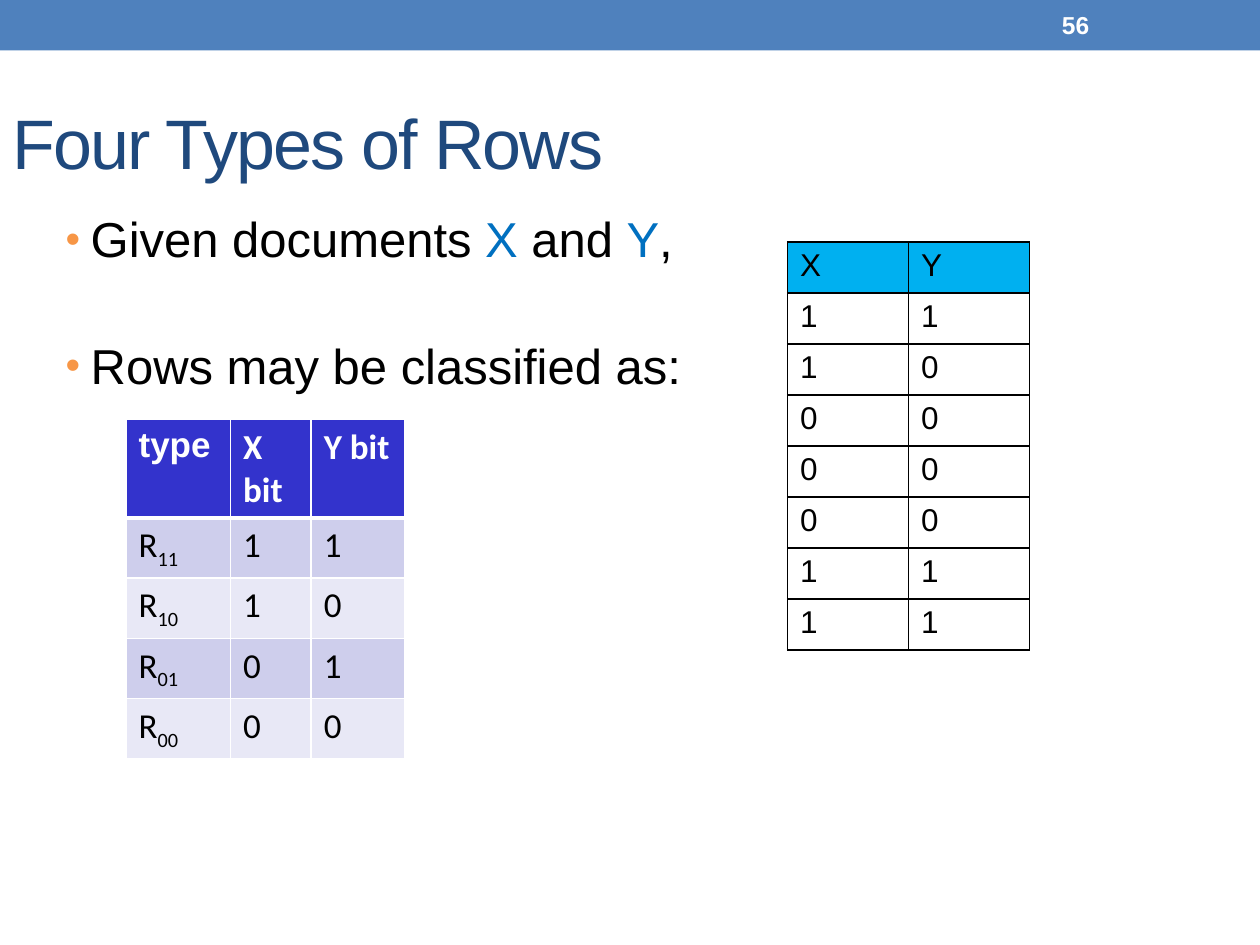
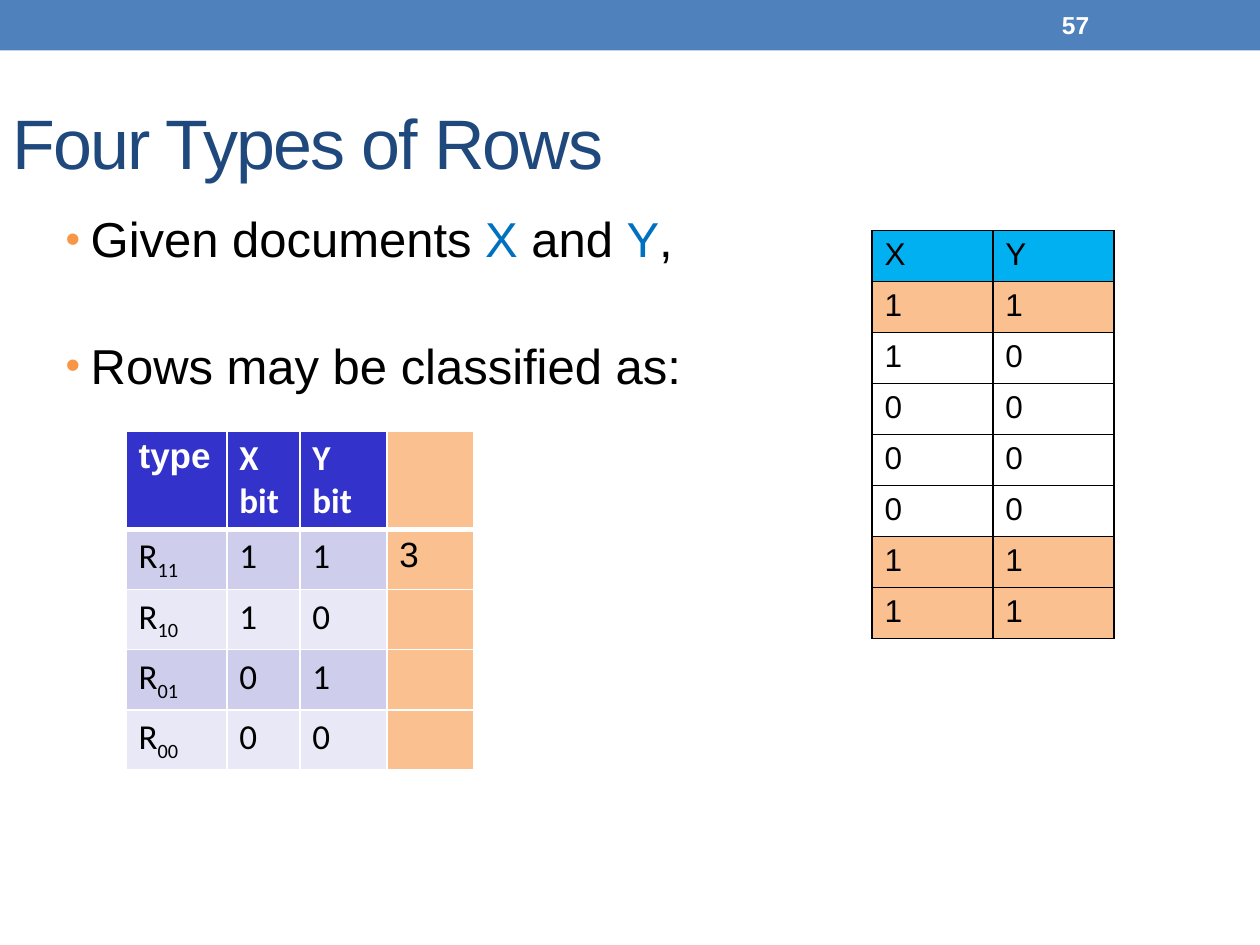
from dataclasses import dataclass

import pptx
import pptx.dml.color
import pptx.enum.shapes
import pptx.enum.text
import pptx.oxml
import pptx.oxml.ns
import pptx.util
from pptx.util import Inches


@dataclass(frozen=True)
class Theme:
    band: str = "4F81BD"
    title: str = "1F497D"
    bullet: str = "F79646"
    text: str = "000000"
    white: str = "FFFFFF"
    document: str = "0070C0"
    type_header: str = "3333CC"
    type_rows: tuple = ("CECEEC", "E8E8F6")
    document_header: str = "00B0F0"
    highlight: str = "FAC090"
    font: str = "Arial"
    table_font: str = "Calibri"
    title_size: int = 40
    body_size: int = 28
    type_size: int = 20
    document_size: int = 18
    number_size: int = 14


THEME = Theme()
ROW_HEIGHT = 3.24 / 8
DOCUMENT_ROWS = ["11", "10", "00", "00", "00", "11", "11"]
ROW_TYPES = ["11", "10", "01", "00"]


def text_format(size, color=THEME.text, name=THEME.font, bold=False):
    return {"size": pptx.util.Pt(size), "color": color, "name": name, "bold": bold}


def add_span(para, text, values, **run_attributes):
    """Add a run; run_attributes go straight to its XML properties (spc, baseline)."""
    span = para.add_run()
    span.text = text
    for key, value in values.items():
        if key == "color":
            span.font.color.rgb = pptx.dml.color.RGBColor.from_string(value)
        else:
            setattr(span.font, key, value)
    for key, value in run_attributes.items():
        span._r.get_or_add_rPr().set(key, str(value))


def paint(item, color):
    """Fill a shape or cell, or leave it clear when color is None."""
    if color is None:
        item.fill.background()
    else:
        item.fill.solid()
        item.fill.fore_color.rgb = pptx.dml.color.RGBColor.from_string(color)


def place(box, left, top, width, height):
    for side, value in zip(("left", "top", "width", "height"), (left, top, width, height)):
        setattr(box, side, Inches(value))


def set_frame(frame, anchor):
    values = {
        "word_wrap": True,
        "auto_size": pptx.enum.text.MSO_AUTO_SIZE.NONE,
        "vertical_anchor": anchor,
    }
    for key, value in values.items():
        setattr(frame, key, value)


def add_band(slide):
    band = slide.shapes.add_shape(
        pptx.enum.shapes.MSO_SHAPE.RECTANGLE, 0, 0, Inches(10), Inches(0.4))
    band.shadow.inherit = False
    paint(band, THEME.band)
    band.line.fill.background()


def add_page_number(slide, number):
    box = slide.shapes.add_textbox(Inches(8.33), Inches(0.02), Inches(1.17), Inches(0.36))
    set_frame(box.text_frame, pptx.enum.text.MSO_ANCHOR.MIDDLE)
    add_span(box.text_frame.paragraphs[0], str(number),
             text_format(THEME.number_size, THEME.white, bold=True))


def set_title(slide, text):
    title = slide.shapes.title
    place(title, 0, 0.5, 10, 1.25)
    set_frame(title.text_frame, pptx.enum.text.MSO_ANCHOR.MIDDLE)
    para = title.text_frame.paragraphs[0]
    para.alignment = pptx.enum.text.PP_ALIGN.LEFT
    add_span(para, text, text_format(THEME.title_size, THEME.title), spc=-100)


def add_bullet(para):
    properties = para._p.get_or_add_pPr()
    indent = Inches(0.2)
    properties.set("marL", str(indent))
    properties.set("indent", str(-indent))
    namespace = pptx.oxml.ns.nsdecls("a")
    for xml in (
        f'<a:buClr {namespace}><a:srgbClr val="{THEME.bullet}"/></a:buClr>',
        f'<a:buSzPct {namespace} val="85000"/>',
        f'<a:buFont {namespace} typeface="{THEME.font}"/>',
        f'<a:buChar {namespace} char="•"/>',
    ):
        properties.append(pptx.oxml.parse_xml(xml))


def set_body(slide, bullets):
    """Fill the body with bullets, each a list of (text, color) spans."""
    body = slide.placeholders[1]
    place(body, 0.42, 1.66, 8.83, 5.17)
    frame = body.text_frame
    set_frame(frame, pptx.enum.text.MSO_ANCHOR.TOP)
    for index, spans in enumerate(bullets):
        para = frame.add_paragraph() if index else frame.paragraphs[0]
        add_bullet(para)
        para.line_spacing = 0.9
        para.space_before = pptx.util.Pt(42 if index else 0)
        for text, color in spans:
            add_span(para, text, text_format(THEME.body_size, color))


def set_borders(cell, color, top=1, bottom=1):
    properties = cell._tc.get_or_add_tcPr()
    for side, width in {"L": 1, "R": 1, "T": top, "B": bottom}.items():
        properties.append(pptx.oxml.parse_xml(
            f'<a:ln{side} {pptx.oxml.ns.nsdecls("a")} w="{pptx.util.Pt(width)}">'
            f'<a:solidFill><a:srgbClr val="{color}"/></a:solidFill></a:ln{side}>'))


def add_grid(slide, left, top, widths, row_count):
    frame = slide.shapes.add_table(
        row_count, len(widths), Inches(left), Inches(top),
        Inches(sum(widths)), Inches(ROW_HEIGHT * row_count))
    table = frame.table
    table.first_row = table.horz_banding = False
    for column, width in zip(table.columns, widths):
        column.width = Inches(width)
    return table


def add_document_table(slide, left, top, highlighted=None):
    """Show the bits of X and Y, with rows of the highlighted type tinted."""
    rows = ["XY"] + DOCUMENT_ROWS
    table = add_grid(slide, left, top, [0.96, 0.96], len(rows))
    for row, bits in enumerate(rows):
        fill = THEME.highlight if bits == highlighted else None
        for column, bit in enumerate(bits):
            cell = table.cell(row, column)
            set_borders(cell, THEME.text)
            paint(cell, fill if row else THEME.document_header)
            add_span(cell.text_frame.paragraphs[0], bit, text_format(THEME.document_size))


def add_type_table(slide, top, widths, counted=None):
    """List the row types; a fourth column holds the count of the counted type."""
    rows = [["type", "X bit", "Y bit", ""]]
    for bits in ROW_TYPES:
        count = str(DOCUMENT_ROWS.count(bits)) if bits == counted else ""
        rows.append(["R", *bits, count])
    table = add_grid(slide, 1, top, widths, len(rows))
    for row, texts in enumerate(rows):
        header = row == 0
        row_fill = THEME.type_header if header else THEME.type_rows[(row - 1) % 2]
        for column, text in enumerate(texts[:len(widths)]):
            cell = table.cell(row, column)
            set_borders(cell, THEME.white, 3 if row == 1 else 1, 3 if header else 1)
            paint(cell, THEME.highlight if column == 3 else row_fill)
            if not text:
                continue
            plain = text == "type" or column == 3
            values = text_format(
                THEME.type_size, THEME.white if header else THEME.text,
                THEME.font if plain else THEME.table_font, header)
            para = cell.text_frame.paragraphs[0]
            add_span(para, text, values)
            if column == 0 and not header:
                add_span(para, ROW_TYPES[row - 1], values, baseline=-25000)


def add_rows_slide(deck, number):
    slide = deck.slides.add_slide(deck.slide_layouts[1])
    add_band(slide)
    add_page_number(slide, number)
    set_title(slide, "Four Types of Rows")
    set_body(slide, [
        [("Given documents ", THEME.text), ("X", THEME.document), (" and ", THEME.text),
         ("Y", THEME.document), (",", THEME.text)],
        [("Rows may be classified as:", THEME.text)],
    ])
    return slide


def main():
    deck = pptx.Presentation()
    deck.slide_width, deck.slide_height = Inches(10), Inches(7.5)

    types_slide = add_rows_slide(deck, 56)
    add_type_table(types_slide, 3.33, [0.83, 0.64, 0.74])
    add_document_table(types_slide, 6.25, 1.92)

    count_slide = add_rows_slide(deck, 57)
    add_document_table(count_slide, 6.92, 1.83, highlighted="11")
    add_type_table(count_slide, 3.42, [0.8, 0.58, 0.69, 0.69], counted="11")

    deck.save("out.pptx")


if __name__ == "__main__":
    main()
